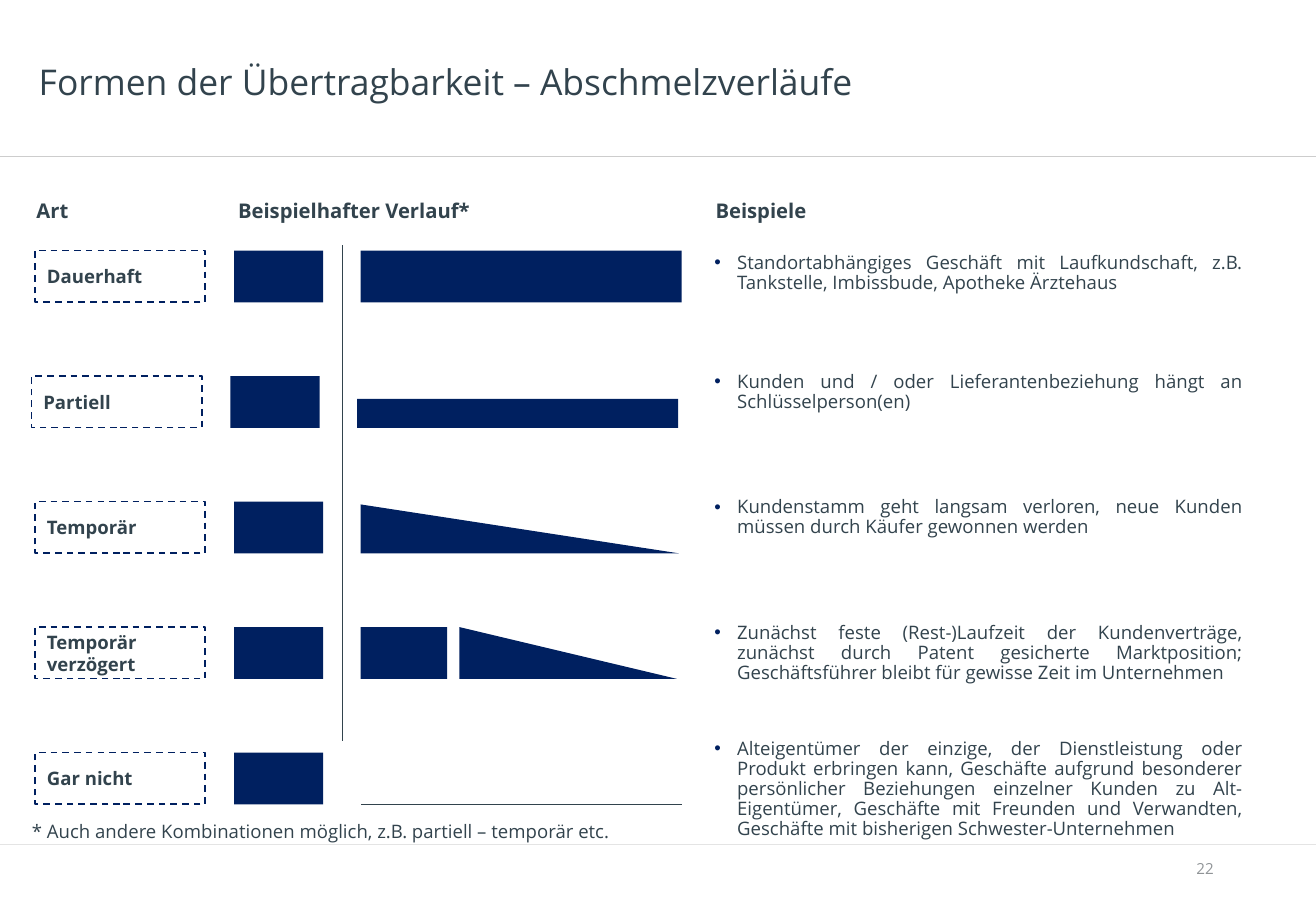
from lxml import etree
from pptx import Presentation
from pptx.dml.color import RGBColor
from pptx.enum.dml import MSO_LINE
from pptx.enum.shapes import MSO_CONNECTOR, MSO_SHAPE
from pptx.enum.text import MSO_ANCHOR, PP_ALIGN
from pptx.oxml.ns import qn
from pptx.util import Pt

RECTANGLE, TRIANGLE = MSO_SHAPE.RECTANGLE, MSO_SHAPE.RIGHT_TRIANGLE
WEDGE = MSO_SHAPE.ISOSCELES_TRIANGLE
STRAIGHT, DASH = MSO_CONNECTOR.STRAIGHT, MSO_LINE.DASH
TOP, MIDDLE = MSO_ANCHOR.TOP, MSO_ANCHOR.MIDDLE
LEFT, RIGHT, JUSTIFY = PP_ALIGN.LEFT, PP_ALIGN.RIGHT, PP_ALIGN.JUSTIFY
NAVY, SLATE, GREY, RULE = "002060", "32434D", "909497", "424242"
FONT = "Open Sans"
color = RGBColor.from_string


def write(shape, text, size, hex_color=SLATE, bold=False, anchor=MIDDLE,
          align=LEFT, inset=0, spacing=None, bullet=False):
    frame = shape.text_frame
    frame.word_wrap = True
    frame.vertical_anchor = anchor
    frame.margin_left = Pt(inset)
    frame.margin_right = Pt(7.2)
    frame.margin_top = frame.margin_bottom = Pt(3.6)
    paragraph = frame.paragraphs[0]
    paragraph.alignment = align
    if spacing:
        paragraph.line_spacing = spacing
    if bullet:
        properties = paragraph._p.get_or_add_pPr()
        properties.set("marL", str(Pt(13.5)))
        properties.set("indent", str(-Pt(13.5)))
        bullet_color = etree.SubElement(properties, qn("a:buClr"))
        etree.SubElement(bullet_color, qn("a:srgbClr"), val=NAVY)
        etree.SubElement(properties, qn("a:buFont"), typeface="Arial")
        etree.SubElement(properties, qn("a:buChar"), char="•")
    run = paragraph.add_run()
    run.text = text
    run.font.name = FONT
    run.font.size = Pt(size)
    run.font.bold = bold
    run.font.color.rgb = color(hex_color)


def draw_line(x1, y1, x2, y2, hex_color, width):
    line = slide.shapes.add_connector(STRAIGHT, Pt(x1), Pt(y1), Pt(x2), Pt(y2))
    line.line.color.rgb = color(hex_color)
    line.line.width = Pt(width)
    etree.SubElement(line._element.spPr, qn("a:effectLst"))
    return line


presentation = Presentation()
presentation.slide_width = Pt(780)
presentation.slide_height = Pt(540)
slide = presentation.slides.add_slide(presentation.slide_layouts[6])

# Pale rules under the title and above the footer
for y in (92.9, 500.4):
    rule = draw_line(0, y, 780, y, RULE, 0.25)
    rule_color = rule._element.spPr.find(".//" + qn("a:srgbClr"))
    etree.SubElement(rule_color, qn("a:alpha"), val="40000")

# Title and slide number
title = slide.shapes.add_textbox(Pt(23), Pt(14.4), Pt(587), Pt(70.6))
write(title, "Formen der Übertragbarkeit – Abschmelzverläufe", 21, spacing=0.9)
number = slide.shapes.add_textbox(Pt(550.8), Pt(500.4), Pt(175.7), Pt(28.8))
write(number, "22", 9, GREY, align=RIGHT, inset=7.2)

# Column headings
for text, left, width in (("Art", 21.6, 119.5), ("Beispielhafter Verlauf*", 141.1, 249),
                          ("Beispiele", 424.1, 320.4)):
    heading = slide.shapes.add_textbox(Pt(left), Pt(112.3), Pt(width), Pt(24.5))
    write(heading, text, 12, bold=True)

# Rows: kind, shift to the right, top of the example, example,
# course after the transfer as (form, left, drop from row top, width)
ROW_TOP, ROW_PITCH, BAR_HEIGHT = 148.5, 74.4, 30.7
rows = [
    ("Dauerhaft", 0, 146.9,
     "Standortabhängiges Geschäft mit Laufkundschaft, z.B. Tankstelle, Imbissbude, "
     "Apotheke Ärztehaus",
     [(RECTANGLE, 213.8, 0, 190.3)]),
    ("Partiell", -2.1, 217.4,
     "Kunden und / oder Lieferantenbeziehung hängt an Schlüsselperson(en)",
     [(RECTANGLE, 213.8, 13.5, 190.3)]),
    ("Temporär", 0, 291.6,
     "Kundenstamm geht langsam verloren, neue Kunden müssen durch Käufer gewonnen werden",
     [(WEDGE, 213.8, 1.7, 188.6)]),
    ("Temporär verzögert", 0, 365.8,
     "Zunächst feste (Rest-)Laufzeit der Kundenverträge, zunächst durch Patent gesicherte "
     "Marktposition; Geschäftsführer bleibt für gewisse Zeit im Unternehmen",
     [(RECTANGLE, 213.8, 0, 51.3), (WEDGE, 272.3, 0, 128.9)]),
    ("Gar nicht", 0, 434.9,
     "Alteigentümer der einzige, der Dienstleistung oder Produkt erbringen kann, Geschäfte "
     "aufgrund besonderer persönlicher Beziehungen einzelner Kunden zu Alt-Eigentümer, "
     "Geschäfte mit Freunden und Verwandten, Geschäfte mit bisherigen Schwester-Unternehmen",
     []),
]
for index, (kind, shift, example_top, example, course) in enumerate(rows):
    top = ROW_TOP + index * ROW_PITCH

    # Dashed label
    label = slide.shapes.add_shape(RECTANGLE, Pt(20.7 + shift), Pt(top), Pt(101), Pt(30.5))
    label.shadow.inherit = False
    label.fill.background()
    label.line.color.rgb = color(NAVY)
    label.line.width = Pt(1)
    label.line.dash_style = DASH
    write(label, kind, 11, bold=True, inset=7.2)

    # Level before the transfer, then its course afterwards
    for form, left, drop, width in [(RECTANGLE, 138.7, 0, 52.8)] + course:
        bar = slide.shapes.add_shape(form, Pt(left + shift), Pt(top + drop),
                                     Pt(width), Pt(BAR_HEIGHT - drop))
        if form == WEDGE:
            bar.adjustments[0] = 0
        bar.shadow.inherit = False
        bar.fill.solid()
        bar.fill.fore_color.rgb = color(NAVY)
        bar.line.fill.background()

    # Example
    box = slide.shapes.add_textbox(Pt(423.4), Pt(example_top), Pt(320.4), Pt(36))
    write(box, example, 11, anchor=TOP, align=JUSTIFY, spacing=0.9, bullet=True)

# Moment of transfer and the zero line of the last row
draw_line(203, 145.4, 203, 439.2, SLATE, 0.5)
draw_line(404.1, 476.7, 213.8, 476.7, SLATE, 0.5)

# Footnote
footnote = slide.shapes.add_textbox(Pt(18.9), Pt(483.8), Pt(725), Pt(13.7))
write(footnote, "* Auch andere Kombinationen möglich, z.B. partiell – temporär etc.", 11,
      anchor=TOP, align=JUSTIFY, spacing=0.9)

presentation.save("out.pptx")
